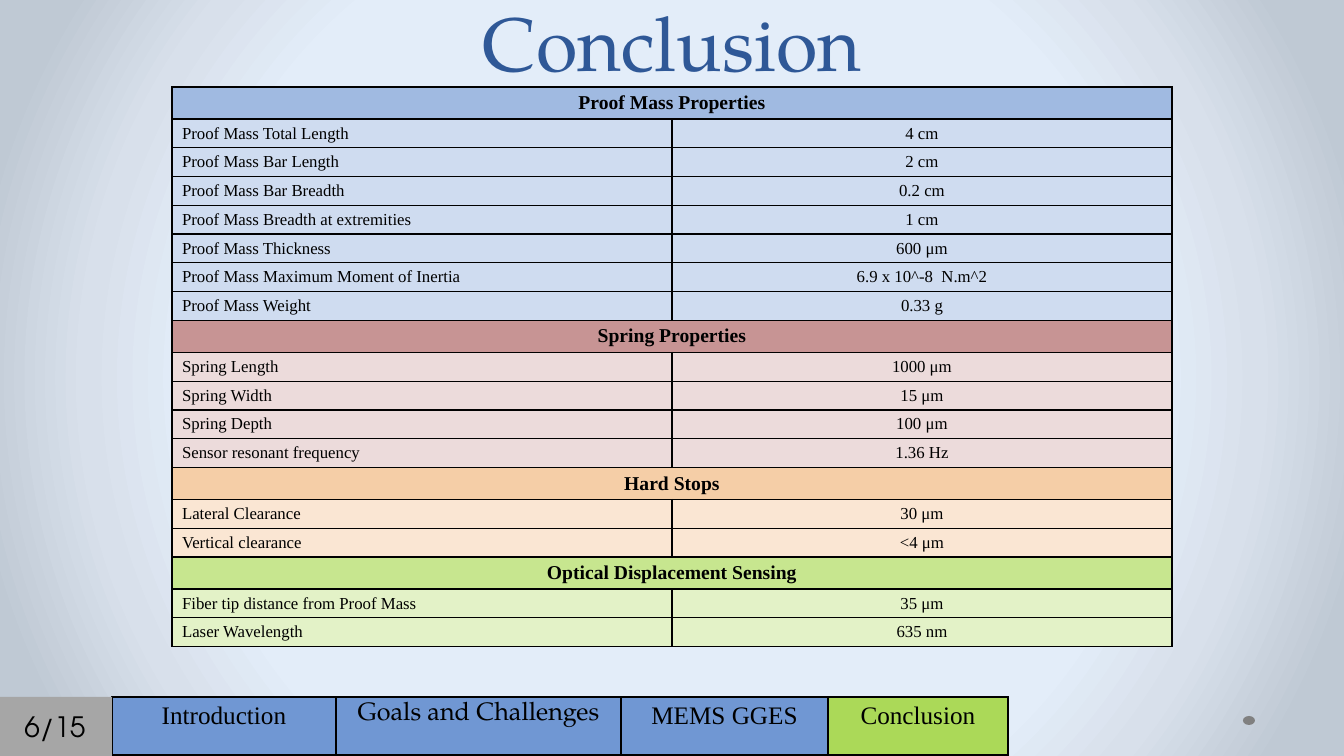
from lxml import etree
from pptx import Presentation
from pptx.dml.color import RGBColor
from pptx.enum.shapes import MSO_SHAPE
from pptx.enum.text import MSO_ANCHOR, MSO_AUTO_SIZE, PP_ALIGN
from pptx.oxml import parse_xml
from pptx.oxml.ns import nsdecls
from pptx.util import Emu, Pt

BLACK = RGBColor(0x00, 0x00, 0x00)
TITLE_BLUE = RGBColor(0x2F, 0x58, 0x97)
TAB_BLUE = RGBColor(0x70, 0x97, 0xD3)
TAB_GREEN = RGBColor(0xAB, 0xD9, 0x58)
NUMBER_GRAY = RGBColor(0xA6, 0xA6, 0xA6)
DOT_GRAY = RGBColor(0x80, 0x80, 0x80)
BACKGROUND_STOPS = [
    (62, RGBColor(0xE3, 0xED, 0xF9)),
    (76, RGBColor(0xD8, 0xE0, 0xEB)),
    (92, RGBColor(0xBF, 0xC9, 0xD4)),
]
SERIF = "Times New Roman"
PALATINO = "TeX Gyre Pagella"
GOTHIC = "TeX Gyre Adventor"

SECTIONS = [
    ("Proof Mass Properties", RGBColor(0xA0, 0xBA, 0xE1), RGBColor(0xCF, 0xDC, 0xF0), [
        ("Proof Mass Total Length", "4 cm"),
        ("Proof Mass Bar Length", "2 cm"),
        ("Proof Mass Bar Breadth", "0.2 cm"),
        ("Proof Mass Breadth at extremities", "1 cm"),
        ("Proof Mass Thickness", "600 μm"),
        ("Proof Mass Maximum Moment of Inertia", "6.9 x 10^-8  N.m^2"),
        ("Proof Mass Weight", "0.33 g"),
    ]),
    ("Spring Properties", RGBColor(0xC7, 0x94, 0x94), RGBColor(0xEC, 0xDB, 0xDB), [
        ("Spring Length", "1000 μm"),
        ("Spring Width", "15 μm"),
        ("Spring Depth", "100 μm"),
        ("Sensor resonant frequency", "1.36 Hz"),
    ]),
    ("Hard Stops", RGBColor(0xF5, 0xCE, 0xA7), RGBColor(0xFA, 0xE6, 0xD3), [
        ("Lateral Clearance", "30 μm"),
        ("Vertical clearance", "<4 μm"),
    ]),
    ("Optical Displacement Sensing", RGBColor(0xC7, 0xE6, 0x8F), RGBColor(0xE3, 0xF2, 0xC7), [
        ("Fiber tip distance from Proof Mass", "35 μm"),
        ("Laser Wavelength", "635 nm"),
    ]),
]
TABS = [
    ("Introduction", 224, SERIF, TAB_BLUE),
    ("Goals and Challenges", 285, PALATINO, TAB_BLUE),
    ("MEMS GGES", 207, SERIF, TAB_BLUE),
    ("Conclusion", 180, SERIF, TAB_GREEN),
]
HEADING_HEIGHT, ROW_HEIGHT, COLUMN_WIDTH = 32, 28, 500
FOOTER_TOP, FOOTER_HEIGHT, NUMBER_WIDTH = 697, 58, 112


def px(pixels):
    return Emu(round(pixels * 914400 / 100.8))


def write(paragraph, text, size, font, color=BLACK, bold=False, align=PP_ALIGN.CENTER):
    paragraph.text = text
    paragraph.alignment = align
    paragraph.font.size = Pt(size)
    paragraph.font.name = font
    paragraph.font.color.rgb = color
    paragraph.font.bold = bold


def add_plain_table(left, top, widths, heights):
    frame = slide.shapes.add_table(len(heights), len(widths), px(left), px(top),
                                   px(sum(widths)), px(sum(heights)))
    table = frame.table
    table.first_row = table.horz_banding = False
    for column, width in zip(table.columns, widths):
        column.width = px(width)
    for row, height in zip(table.rows, heights):
        row.height = px(height)
    return table


def paint_cell(cell, color):
    cell.fill.solid()
    cell.fill.fore_color.rgb = color
    properties = cell._tc.get_or_add_tcPr()
    for position, side in enumerate("LRTB"):
        properties.insert(position, parse_xml(
            f'<a:ln{side} {nsdecls("a")} w="{Pt(1)}"><a:solidFill>'
            f'<a:srgbClr val="{BLACK}"/></a:solidFill></a:ln{side}>'))


def add_plain_shape(kind, left, top, width, height, color):
    shape = slide.shapes.add_shape(kind, px(left), px(top), px(width), px(height))
    shape.shadow.inherit = False
    shape.fill.solid()
    shape.fill.fore_color.rgb = color
    shape.line.fill.background()
    return shape


presentation = Presentation()
presentation.slide_width, presentation.slide_height = px(1344), px(756)
slide = presentation.slides.add_slide(presentation.slide_layouts[5])

slide.background.fill.solid()
solid = slide.background._cSld.bg.bgPr[0]
gradient = parse_xml(
    f'<a:gradFill {nsdecls("a")} rotWithShape="1"><a:gsLst/><a:path path="circle">'
    '<a:fillToRect l="50000" t="50000" r="50000" b="50000"/></a:path></a:gradFill>')
for percent, color in BACKGROUND_STOPS:
    stop = etree.SubElement(gradient[0], gradient[0].tag.replace("gsLst", "gs"),
                            pos=str(percent * 1000))
    etree.SubElement(stop, stop.tag.replace("}gs", "}srgbClr"), val=str(color))
solid.getparent().replace(solid, gradient)

title = slide.shapes.title
title.left, title.top, title.width, title.height = px(67), px(0), px(1210), px(176)
title.text_frame.vertical_anchor = MSO_ANCHOR.TOP
title.text_frame.auto_size = MSO_AUTO_SIZE.NONE
title_paragraph = title.text_frame.paragraphs[0]
write(title_paragraph, "Conclusion", 54, PALATINO, TITLE_BLUE)
title_paragraph.line_spacing = Pt(58)

add_plain_shape(MSO_SHAPE.OVAL, 1243, 716, 12, 9, DOT_GRAY)

tabs = add_plain_table(NUMBER_WIDTH, FOOTER_TOP, [tab[1] for tab in TABS], [FOOTER_HEIGHT])
for cell, (label, width, font, color) in zip(tabs.rows[0].cells, TABS):
    paint_cell(cell, color)
    cell.margin_left = cell.margin_right = px(13)
    write(cell.text_frame.paragraphs[0], label, 18, font)

number = add_plain_shape(MSO_SHAPE.RECTANGLE, 0, FOOTER_TOP, NUMBER_WIDTH, FOOTER_HEIGHT + 1,
                         NUMBER_GRAY)
number.text_frame.margin_left, number.text_frame.margin_right = px(3), px(5)
number.text_frame.vertical_anchor = MSO_ANCHOR.MIDDLE
write(number.text_frame.paragraphs[0], "6/15", 20, GOTHIC)

heights = []
for heading, heading_color, row_color, entries in SECTIONS:
    heights += [HEADING_HEIGHT] + [ROW_HEIGHT] * len(entries)
properties_table = add_plain_table(172, 87, [COLUMN_WIDTH] * 2, heights)
rows = iter(properties_table.rows)
for heading, heading_color, row_color, entries in SECTIONS:
    left_cell, right_cell = next(rows).cells
    left_cell.merge(right_cell)
    paint_cell(left_cell, heading_color)
    paint_cell(right_cell, heading_color)
    write(left_cell.text_frame.paragraphs[0], heading, 14, SERIF, bold=True)
    left_cell.vertical_anchor = MSO_ANCHOR.MIDDLE
    for entry in entries:
        for cell, text, align in zip(next(rows).cells, entry, (PP_ALIGN.LEFT, PP_ALIGN.CENTER)):
            paint_cell(cell, row_color)
            write(cell.text_frame.paragraphs[0], text, 12, SERIF, align=align)
            cell.vertical_anchor = MSO_ANCHOR.MIDDLE

presentation.save("out.pptx")
